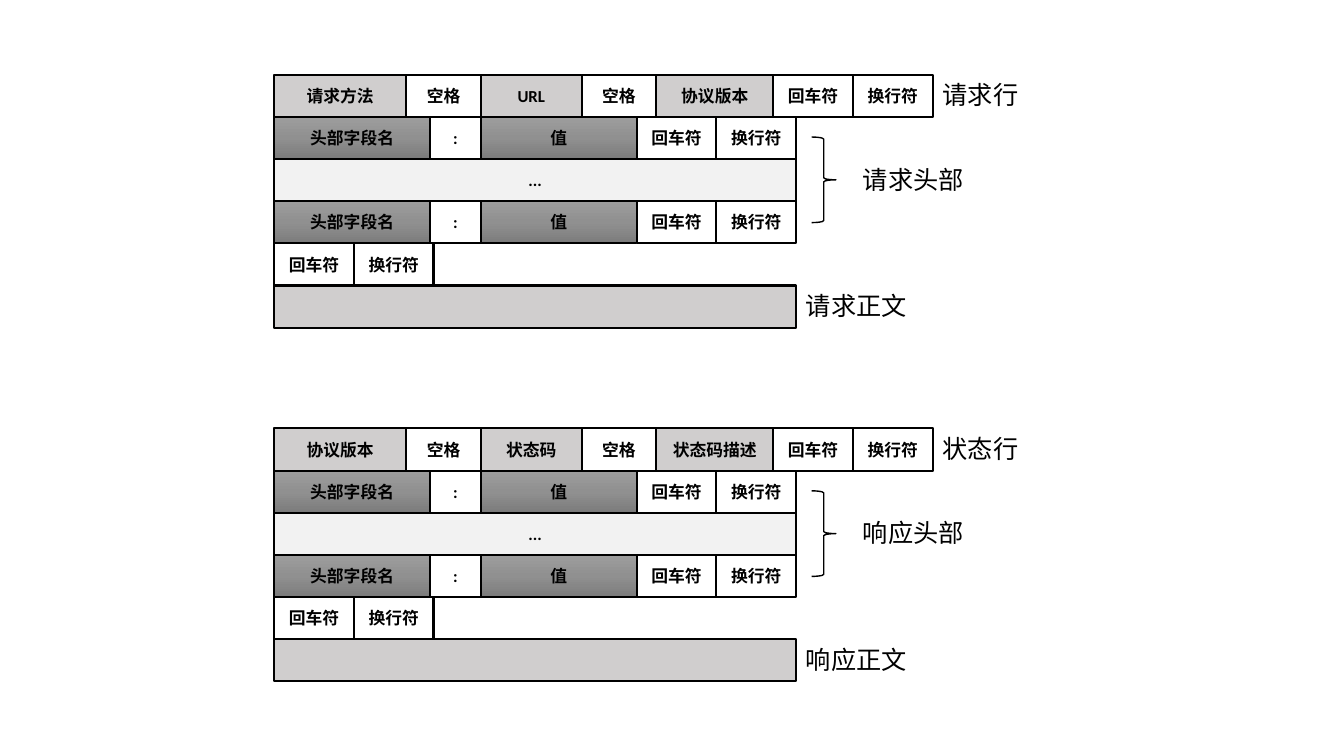
from copy import deepcopy
from dataclasses import dataclass

from pptx import Presentation
from pptx.dml.color import RGBColor
from pptx.enum.shapes import MSO_SHAPE
from pptx.enum.text import MSO_ANCHOR, MSO_AUTO_SIZE, PP_ALIGN
from pptx.oxml.ns import qn
from pptx.util import Inches, Pt


@dataclass(frozen=True)
class Theme:
    font: str = "Calibri"
    ink: str = "000000"
    white: str = "FFFFFF"
    pale: str = "F2F2F2"
    grey: str = "D0CECE"
    steel: tuple = ("9D9D9D", "909090", "7C7C7C")
    cell_size: int = 12
    label_size: int = 18
    cell_line: float = 1.5
    brace_line: float = 1


@dataclass(frozen=True)
class Box:
    left: float
    top: float
    width: float
    height: float

    def area(self, column, row, columns, rows):
        """Area given in hundredths of the width and in message rows."""
        across, down = self.width / 100, self.height / ROWS
        return [int(length) for length in (
            self.left + column * across, self.top + row * down,
            columns * across, rows * down)]


THEME = Theme()
ROWS = 6

# Column widths, in hundredths of the message width
FIRST, SPACE, SECOND, THIRD, BREAK = 20.06, 11.33, 15.31, 17.76, 12.1
FIELD, COLON = 23.7, 7.65
BODY = 2 * FIELD + COLON + 2 * BREAK

# Rows shared by both messages: (text, width, fill)
SPACE_CELL = ("空格", SPACE, THEME.white)
LINE_END = [("回车符", BREAK, THEME.white), ("换行符", BREAK, THEME.white)]
HEADER = [("头部字段名", FIELD, THEME.steel), (":", COLON, THEME.white),
          ("值", FIELD, THEME.steel), *LINE_END]
COMMON_ROWS = [HEADER, [("...", BODY, THEME.pale)], HEADER, LINE_END,
               [("", BODY, THEME.grey)]]


def color(value):
    return RGBColor.from_string(value)


def write(para, text, size, bold=False):
    span = para.add_run()
    span.text = text
    span.font.name = THEME.font
    span.font.size = Pt(size)
    span.font.bold = bold
    span.font.color.rgb = color(THEME.ink)


def paint(shape, fill):
    if isinstance(fill, str):
        shape.fill.solid()
        shape.fill.fore_color.rgb = color(fill)
        return
    shape.fill.gradient()
    shape.fill.gradient_angle = 270
    # A third gradient stop is only possible in XML
    stops = shape.element.spPr.find(qn("a:gradFill")).find(qn("a:gsLst"))
    stops.insert(1, deepcopy(stops[0]))
    for index, (stop, value) in enumerate(zip(shape.fill.gradient_stops, fill)):
        stop.position = index / (len(fill) - 1)
        stop.color.rgb = color(value)


def outline(shape, width):
    shape.shadow.inherit = False
    shape.line.color.rgb = color(THEME.ink)
    shape.line.width = Pt(width)


def add_cell(page, area, text, fill):
    cell = page.shapes.add_shape(MSO_SHAPE.RECTANGLE, *area)
    paint(cell, fill)
    outline(cell, THEME.cell_line)
    if text:
        cell.text_frame.vertical_anchor = MSO_ANCHOR.MIDDLE
        para = cell.text_frame.paragraphs[0]
        para.alignment = PP_ALIGN.CENTER
        write(para, text, THEME.cell_size, bold=True)


def add_label(page, area, text):
    frame = page.shapes.add_textbox(*area).text_frame
    frame.word_wrap = True
    frame.auto_size = MSO_AUTO_SIZE.SHAPE_TO_FIT_TEXT
    write(frame.paragraphs[0], text, THEME.label_size)


def add_message(page, box, start_texts, labels):
    # Start line, headers, blank line and body
    start_cells = [(text, width, THEME.grey) for text, width
                   in zip(start_texts, (FIRST, SECOND, THIRD))]
    first, second, third = start_cells
    start_line = [first, SPACE_CELL, second, SPACE_CELL, third, *LINE_END]
    for row, cells in enumerate([start_line, *COMMON_ROWS]):
        column = 0
        for text, width, fill in cells:
            add_cell(page, box.area(column, row, width, 1), text, fill)
            column += width

    # Names of the message sections
    for text, column, row in zip(labels, (100, 100 - BREAK, BODY), (0, 2, 5)):
        add_label(page, box.area(column, row, 20, 0.96), text)

    # Brace over the header rows
    brace = page.shapes.add_shape(MSO_SHAPE.RIGHT_BRACE,
                                  *box.area(81.6, 1.48, 3.7, 2.03))
    brace.fill.background()
    outline(brace, THEME.brace_line)


deck = Presentation()
deck.slide_width, deck.slide_height = Inches(13.33), Inches(7.5)
page = deck.slides.add_slide(deck.slide_layouts[6])

# Request above, response below: (top in hundredths, start line, labels)
MESSAGES = [
    (9.87, ("请求方法", "URL", "协议版本"), ("请求行", "请求头部", "请求正文")),
    (56.67, ("协议版本", "状态码", "状态码描述"), ("状态行", "响应头部", "响应正文")),
]
for top, start_texts, labels in MESSAGES:
    across, down = deck.slide_width / 100, deck.slide_height / 100
    box = Box(20.4 * across, top * down, 49 * across, 33.47 * down)
    add_message(page, box, start_texts, labels)

deck.save("out.pptx")
